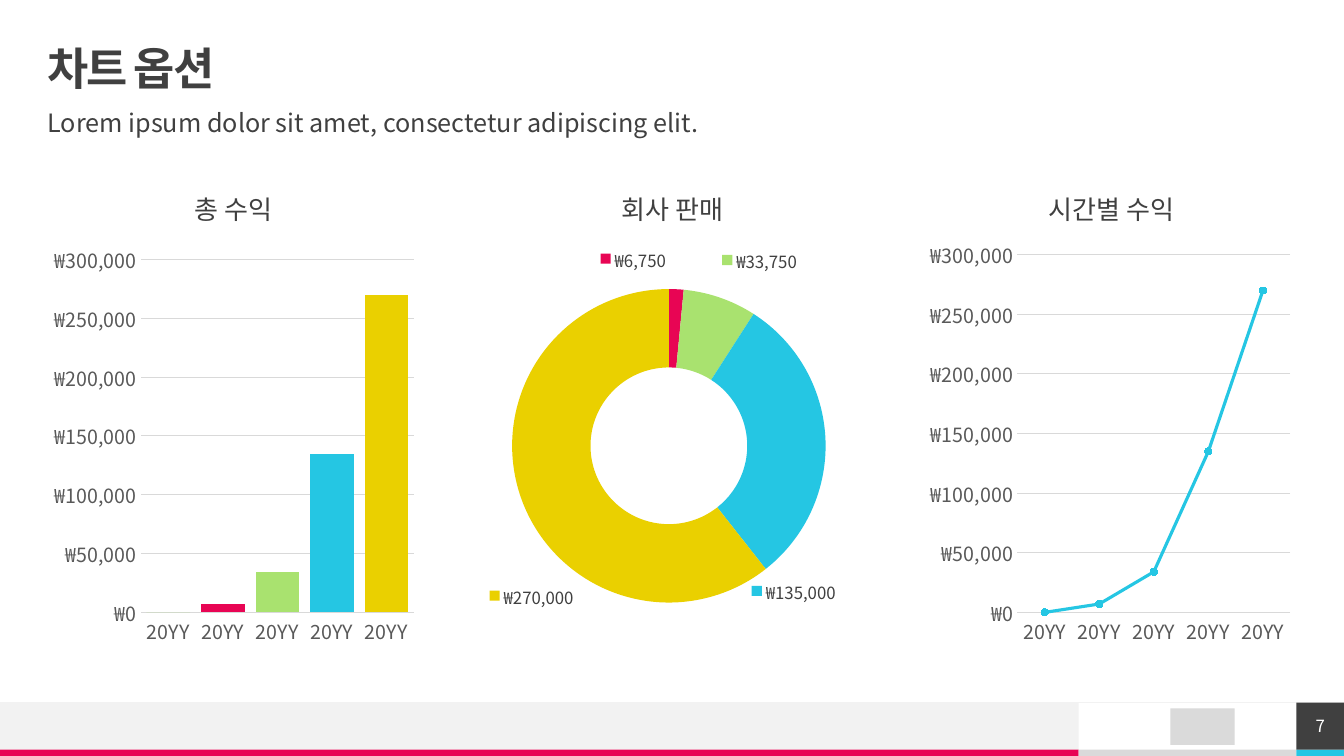
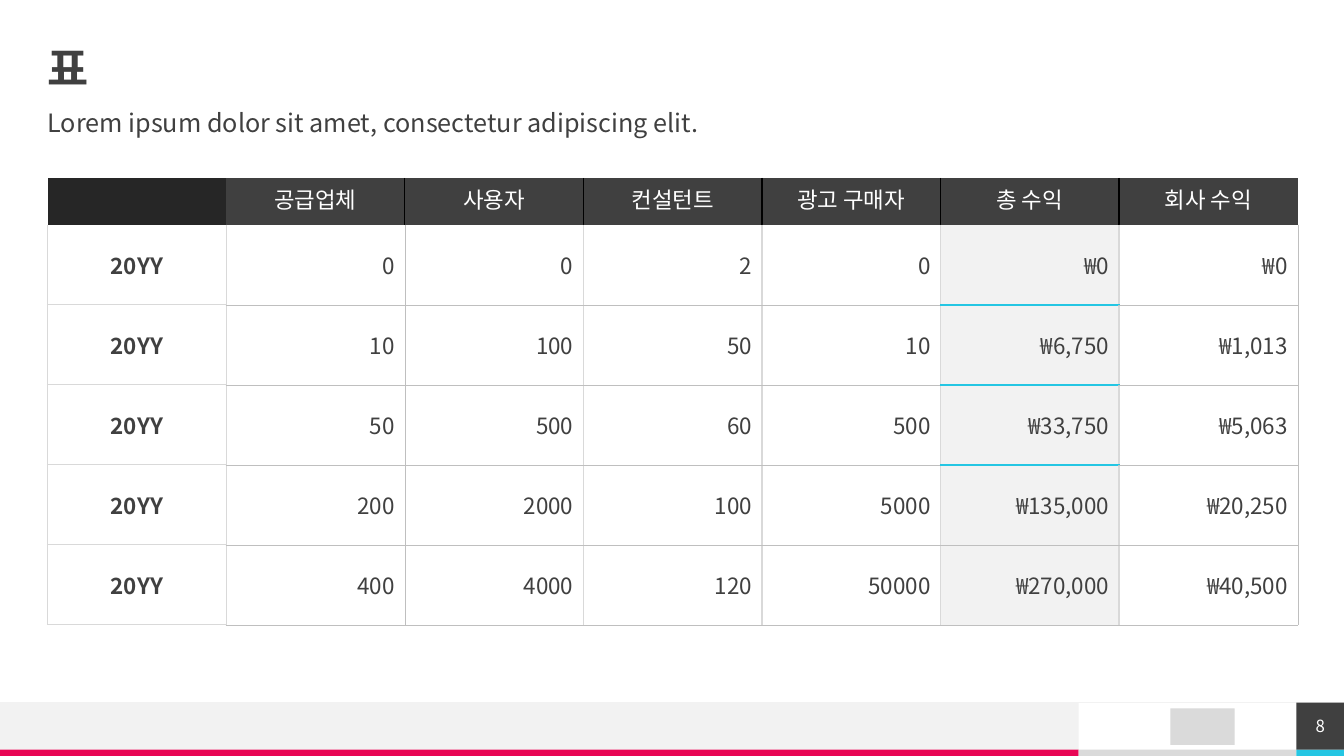
from dataclasses import dataclass, field
from typing import Any, NamedTuple, Optional

import lxml.etree
import pptx
import pptx.chart.data
import pptx.dml.color
import pptx.enum.chart
import pptx.enum.shapes
import pptx.enum.text
import pptx.oxml.ns
import pptx.util

Pt = pptx.util.Pt
ALIGN = pptx.enum.text.PP_ALIGN
ANCHOR = pptx.enum.text.MSO_ANCHOR
CHART = pptx.enum.chart.XL_CHART_TYPE
RECTANGLE = pptx.enum.shapes.MSO_SHAPE.RECTANGLE
qn = pptx.oxml.ns.qn


class TextStyle(NamedTuple):
    size: float
    color: str
    bold: bool = False
    spacing: float = 0


class Border(NamedTuple):
    color: str
    width: float


class Box(NamedTuple):
    left: float
    top: float
    width: float
    height: float

    def points(self) -> list[pptx.util.Length]:
        return [Pt(value) for value in self]


class Band(NamedTuple):
    box: Box
    color: str


@dataclass(frozen=True)
class Theme:
    font: str = "Noto Sans CJK KR"
    white: str = "FFFFFF"
    dark: str = "404040"
    darkest: str = "262626"
    pale: str = "F2F2F2"
    silver: str = "DADADA"
    grid: str = "D9D9D9"
    pink: str = "E80554"
    green: str = "A9E26F"
    cyan: str = "25C6E3"
    yellow: str = "EAD000"
    title: TextStyle = TextStyle(32, "404040", True, -1.5)
    subtitle: TextStyle = TextStyle(18, "404040")
    page: TextStyle = TextStyle(12, "FFFFFF")
    chart: TextStyle = TextStyle(10, "000000")
    chart_title: TextStyle = TextStyle(18.6, "404040")
    axis: TextStyle = TextStyle(14, "595959")
    chart_label: TextStyle = TextStyle(12, "404040")
    table_header: TextStyle = TextStyle(16, "FFFFFF")
    table_year: TextStyle = TextStyle(16, "404040", True)
    table_value: TextStyle = TextStyle(16, "404040")
    black_border: Border = Border("000000", 1)
    light_border: Border = Border("D9D9D9", 1)
    thin_border: Border = Border("BFBFBF", 0.25)
    accent_border: Border = Border("25C6E3", 1.5)


THEME = Theme()
WIDTH, HEIGHT = 960, 540
MARGIN = 34
FOOTER_TOP, STRIPE_TOP = 502, 535.5
PANEL_LEFT, PAGE_LEFT = 770.5, 926
STRIPE_HEIGHT = HEIGHT - STRIPE_TOP
BANDS = [
    Band(Box(0, FOOTER_TOP, PANEL_LEFT, STRIPE_TOP - FOOTER_TOP), THEME.pale),
    Band(Box(0, STRIPE_TOP, PANEL_LEFT, STRIPE_HEIGHT), THEME.pink),
    Band(Box(PANEL_LEFT, STRIPE_TOP, PAGE_LEFT - PANEL_LEFT, STRIPE_HEIGHT), THEME.silver),
    Band(Box(PAGE_LEFT, STRIPE_TOP, WIDTH - PAGE_LEFT, STRIPE_HEIGHT), THEME.cyan),
    Band(Box(836, 506, 46, 26), THEME.silver),
]
PAGE_BOX = Box(PAGE_LEFT, FOOTER_TOP, WIDTH - PAGE_LEFT, STRIPE_TOP - FOOTER_TOP)
SUBTITLE = "Lorem ipsum dolor sit amet, consectetur adipiscing elit."

WON = '"₩"#,##0'
YEARS = ["20YY"] * 5
REVENUE = [0, 7000, 34000, 135000, 270000]
POINT_COLORS = [THEME.green, THEME.pink, THEME.green, THEME.cyan, THEME.yellow]
LABEL_OFFSETS = {1: (-0.11, -0.14), 2: (0.14, -0.15), 3: (0.02, 0.31), 4: (-0.07, 0.23)}

TABLE_HEADER = ["", "공급업체", "사용자", "컨설턴트", "광고 구매자", "총 수익", "회사 수익"]
TABLE_ROWS = [
    ["20YY", "0", "0", "2", "0", "₩0", "₩0"],
    ["20YY", "10", "100", "50", "10", "₩6,750", "₩1,013"],
    ["20YY", "50", "500", "60", "500", "₩33,750", "₩5,063"],
    ["20YY", "200", "2000", "100", "5000", "₩135,000", "₩20,250"],
    ["20YY", "400", "4000", "120", "50000", "₩270,000", "₩40,500"],
]
TOTAL_COLUMN = 5


@dataclass(frozen=True)
class ChartPanel:
    """One chart; plot and title position are fractions of the chart's size."""
    title: str
    kind: Any
    title_at: tuple[float, float]
    plot: Box
    categories: list[str] = field(default_factory=lambda: YEARS)
    values: list[int] = field(default_factory=lambda: REVENUE)


PANELS = [
    ChartPanel("총 수익", CHART.COLUMN_CLUSTERED, (0.38, 0.03), Box(0.25, 0.19, 0.73, 0.72)),
    ChartPanel("회사 판매", CHART.DOUGHNUT, (0.35, 0.03), Box(0.07, 0.25, 0.84, 0.64),
               ["1", "2", "3", "4", "5"], [0, 6750, 33750, 135000, 270000]),
    ChartPanel("시간별 수익", CHART.LINE_MARKERS_STACKED, (0.32, 0.03), Box(0.25, 0.18, 0.73, 0.73)),
]


def rgb(color: str) -> pptx.dml.color.RGBColor:
    return pptx.dml.color.RGBColor.from_string(color)


def fill_with(target: Any, color: str) -> None:
    target.fill.solid()
    target.fill.fore_color.rgb = rgb(color)


def apply_style(font: Any, style: TextStyle) -> None:
    font.size, font.bold, font.name = Pt(style.size), style.bold, THEME.font
    font.color.rgb = rgb(style.color)
    lxml.etree.SubElement(font._element, qn("a:ea")).set("typeface", THEME.font)
    if style.spacing:
        font._element.set("spc", str(round(style.spacing * 100)))


def clear_margins(frame: Any) -> None:
    frame.margin_left = frame.margin_top = frame.margin_right = frame.margin_bottom = 0


def add_rectangle(slide: Any, band: Band) -> Any:
    shape = slide.shapes.add_shape(RECTANGLE, *band.box.points())
    shape.shadow.inherit = False
    fill_with(shape, band.color)
    shape.line.fill.background()
    return shape


def fill_placeholder(placeholder: Any, text: str, box: Box, style: TextStyle, anchor: Any) -> Any:
    placeholder.left, placeholder.top, placeholder.width, placeholder.height = box.points()
    frame = placeholder.text_frame
    frame.text = text
    frame.auto_size = pptx.enum.text.MSO_AUTO_SIZE.NONE
    frame.vertical_anchor = anchor
    clear_margins(frame)
    paragraph = frame.paragraphs[0]
    paragraph.alignment, paragraph.line_spacing = ALIGN.LEFT, 0.9
    apply_style(paragraph.font, style)
    return paragraph


def add_footer(slide: Any, page: int) -> None:
    for band in BANDS:
        add_rectangle(slide, band)
    rule = slide.shapes.add_connector(pptx.enum.shapes.MSO_CONNECTOR.STRAIGHT,
                                      Pt(WIDTH), Pt(FOOTER_TOP), 0, Pt(FOOTER_TOP))
    rule.line.color.rgb, rule.line.width = rgb(THEME.pale), Pt(0.5)
    lxml.etree.SubElement(rule.element.spPr, qn("a:effectLst"))
    frame = add_rectangle(slide, Band(PAGE_BOX, THEME.dark)).text_frame
    clear_margins(frame)
    frame.vertical_anchor = ANCHOR.MIDDLE
    frame.text = str(page)
    frame.paragraphs[0].alignment = ALIGN.CENTER
    apply_style(frame.paragraphs[0].font, THEME.page)


def add_slide(presentation: Any, title: str, page: int) -> Any:
    slide = presentation.slides.add_slide(presentation.slide_layouts[1])
    fill_placeholder(slide.shapes.title, title, Box(MARGIN, 34, 892, 34), THEME.title, ANCHOR.MIDDLE)
    subtitle = fill_placeholder(slide.placeholders[1], SUBTITLE, Box(MARGIN, 79, 893, 28),
                                THEME.subtitle, ANCHOR.TOP)
    subtitle.space_before = Pt(10)
    properties = subtitle._p.get_or_add_pPr()
    properties.set("marL", "0")
    properties.set("indent", "0")
    properties.find(qn("a:defRPr")).addprevious(lxml.etree.Element(qn("a:buNone")))
    add_footer(slide, page)
    return slide


def set_layout(parent: Any, index: int, mode: Optional[str], **sizes: float) -> None:
    """Give a chart part a manual layout, as child number index."""
    for previous in parent.findall(qn("c:layout")):
        parent.remove(previous)
    layout = lxml.etree.Element(qn("c:layout"))
    manual = lxml.etree.SubElement(layout, qn("c:manualLayout"))
    settings: dict[str, Any] = {"layoutTarget": "inner"} if "w" in sizes else {}
    if mode:
        settings |= {"xMode": mode, "yMode": mode}
    for name, value in (settings | sizes).items():
        lxml.etree.SubElement(manual, qn(f"c:{name}")).set("val", str(value))
    parent.insert(index, layout)


def format_axes(chart: Any) -> None:
    no_mark = pptx.enum.chart.XL_TICK_MARK.NONE
    values, categories = chart.value_axis, chart.category_axis
    for axis in (values, categories):
        axis.major_tick_mark = axis.minor_tick_mark = no_mark
        apply_style(axis.tick_labels.font, THEME.axis)
    values.minimum_scale, values.maximum_scale, values.major_unit = 0, 300000, 50000
    values.tick_labels.number_format = WON
    values.tick_labels.number_format_is_linked = False
    values.format.line.fill.background()
    for line in (values.major_gridlines.format.line, categories.format.line):
        line.color.rgb, line.width = rgb(THEME.grid), Pt(0.75)


def color_points(series: Any) -> None:
    for index, color in enumerate(POINT_COLORS):
        point_format = series.points[index].format
        fill_with(point_format, color)
        point_format.line.fill.background()


def format_line(series: Any) -> None:
    series.smooth = False
    series.format.line.color.rgb, series.format.line.width = rgb(THEME.cyan), Pt(2.25)
    series.marker.style, series.marker.size = pptx.enum.chart.XL_MARKER_STYLE.CIRCLE, 5
    fill_with(series.marker.format, THEME.cyan)
    series.marker.format.line.color.rgb = rgb(THEME.cyan)


def label_doughnut(chart: Any, series: Any) -> None:
    """Show each value beside its colour key, moved off the ring."""
    series.data_labels.show_value = False
    for index, (x, y) in LABEL_OFFSETS.items():
        apply_style(series.points[index].data_label.font, THEME.chart_label)
        label = chart.element.xpath(f".//c:dLbl[c:idx/@val='{index}']")[0]
        set_layout(label, 1, None, x=x, y=y)
        number_format = lxml.etree.Element(qn("c:numFmt"), formatCode=WON, sourceLinked="0")
        label.insert(2, number_format)
        label.find(qn("c:showLegendKey")).set("val", "1")
    for leader_lines in chart.element.xpath(".//c:showLeaderLines"):
        leader_lines.set("val", "0")


def add_chart(slide: Any, panel: ChartPanel, box: Box) -> None:
    data = pptx.chart.data.CategoryChartData()
    data.categories = panel.categories
    data.add_series("Series 1", panel.values)
    chart = slide.shapes.add_chart(panel.kind, *box.points(), data).chart
    apply_style(chart.font, THEME.chart)
    chart.has_legend = False
    title = chart.chart_title.text_frame
    title.text = panel.title
    apply_style(title.paragraphs[0].font, THEME.chart_title)
    set_layout(chart.element.xpath("c:chart/c:title")[0], 1, "edge",
               x=panel.title_at[0], y=panel.title_at[1])
    set_layout(chart.element.xpath(".//c:plotArea")[0], 0, "edge", x=panel.plot.left,
               y=panel.plot.top, w=panel.plot.width, h=panel.plot.height)
    plot = chart.plots[0]
    series = plot.series[0]
    plot.vary_by_categories = panel.kind == CHART.DOUGHNUT
    if panel.kind == CHART.DOUGHNUT:
        color_points(series)
        label_doughnut(chart, series)
        return
    format_axes(chart)
    if panel.kind == CHART.COLUMN_CLUSTERED:
        plot.gap_width = 25
        color_points(series)
    else:
        format_line(series)


def vertical_border(row: int, edge: int) -> Optional[Border]:
    """Border on the left of column number edge."""
    if row == 0:
        return THEME.black_border if 2 <= edge < len(TABLE_HEADER) else None
    return THEME.thin_border if edge in (2, len(TABLE_HEADER)) else THEME.light_border


def horizontal_border(edge: int, column: int) -> Optional[Border]:
    """Border above row number edge."""
    if edge < 2:
        return None
    if column == 0:
        return THEME.light_border
    return THEME.accent_border if column == TOTAL_COLUMN and edge < 5 else THEME.thin_border


def format_cell(cell: Any, row: int, column: int, text: str) -> None:
    borders = {"lnL": vertical_border(row, column), "lnR": vertical_border(row, column + 1),
               "lnT": horizontal_border(row, column), "lnB": horizontal_border(row + 1, column)}
    properties = cell._tc.get_or_add_tcPr()
    for side, border in borders.items():
        if border:
            line = lxml.etree.SubElement(properties, qn(f"a:{side}"), w=str(int(Pt(border.width))))
            fill = lxml.etree.SubElement(line, qn("a:solidFill"))
            lxml.etree.SubElement(fill, qn("a:srgbClr"), val=border.color)
    cell.text = text
    paragraph = cell.text_frame.paragraphs[0]
    paragraph.alignment = ALIGN.CENTER if row == 0 or column == 0 else ALIGN.RIGHT
    if row == 0:
        style, color = THEME.table_header, THEME.dark if column else THEME.darkest
    else:
        cell.vertical_anchor = ANCHOR.MIDDLE
        style = THEME.table_value if column else THEME.table_year
        color = THEME.pale if column == TOTAL_COLUMN else THEME.white
    apply_style(paragraph.font, style)
    fill_with(cell, color)


def add_revenue_table(slide: Any) -> None:
    rows = [TABLE_HEADER, *TABLE_ROWS]
    heights = [33.5] + [57.15] * len(TABLE_ROWS)
    box = Box(MARGIN, 127, 893, sum(heights))
    table = slide.shapes.add_table(len(rows), len(TABLE_HEADER), *box.points()).table
    table._tbl.tblPr.find(qn("a:tableStyleId")).text = "{2D5ABB26-0587-4C30-8999-92F81FD0307C}"
    table.horz_banding = False
    for row, (texts, height) in enumerate(zip(rows, heights)):
        table.rows[row].height = Pt(height)
        for column, text in enumerate(texts):
            format_cell(table.cell(row, column), row, column, text)


def main() -> None:
    presentation = pptx.Presentation()
    presentation.slide_width, presentation.slide_height = Pt(WIDTH), Pt(HEIGHT)
    chart_slide = add_slide(presentation, "차트 옵션", 7)
    for index, panel in enumerate(PANELS):
        add_chart(chart_slide, panel, Box(MARGIN + index * 313, 119, 267, 350))
    add_revenue_table(add_slide(presentation, "표", 8))
    presentation.save("out.pptx")


if __name__ == "__main__":
    main()
